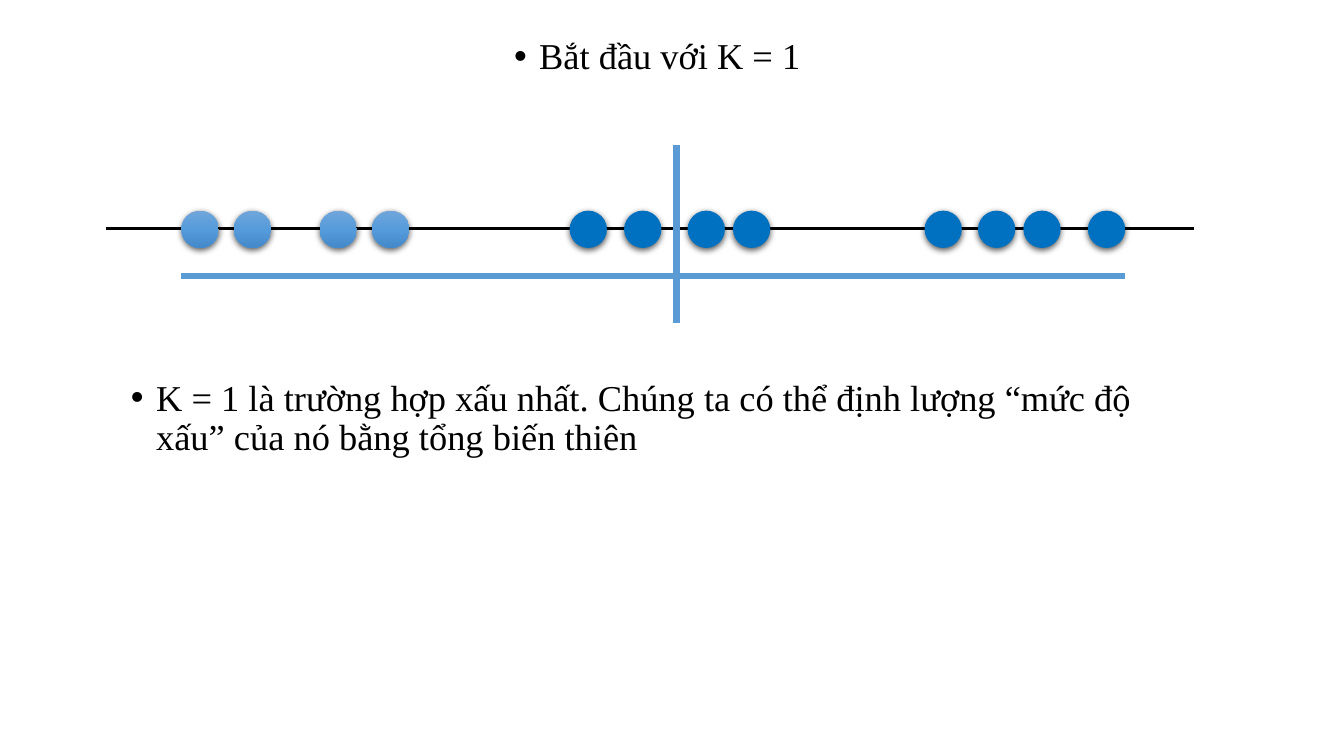
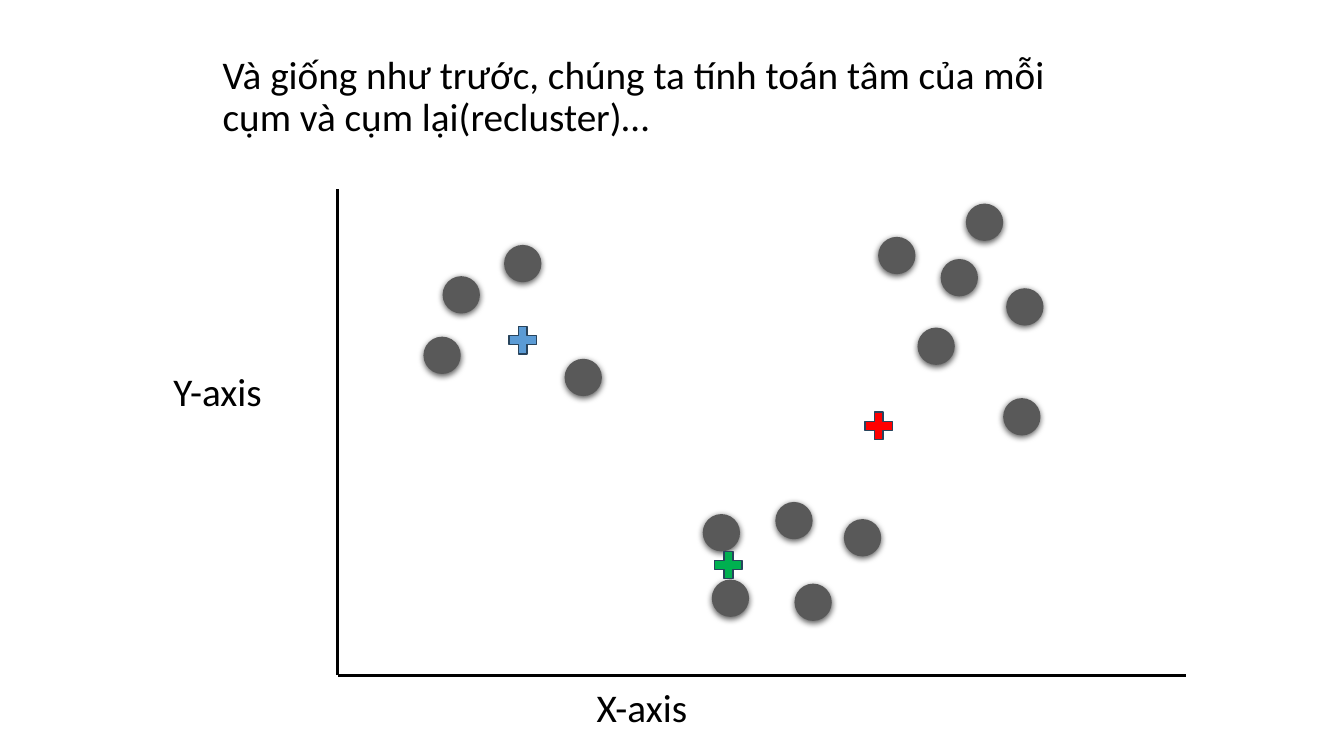
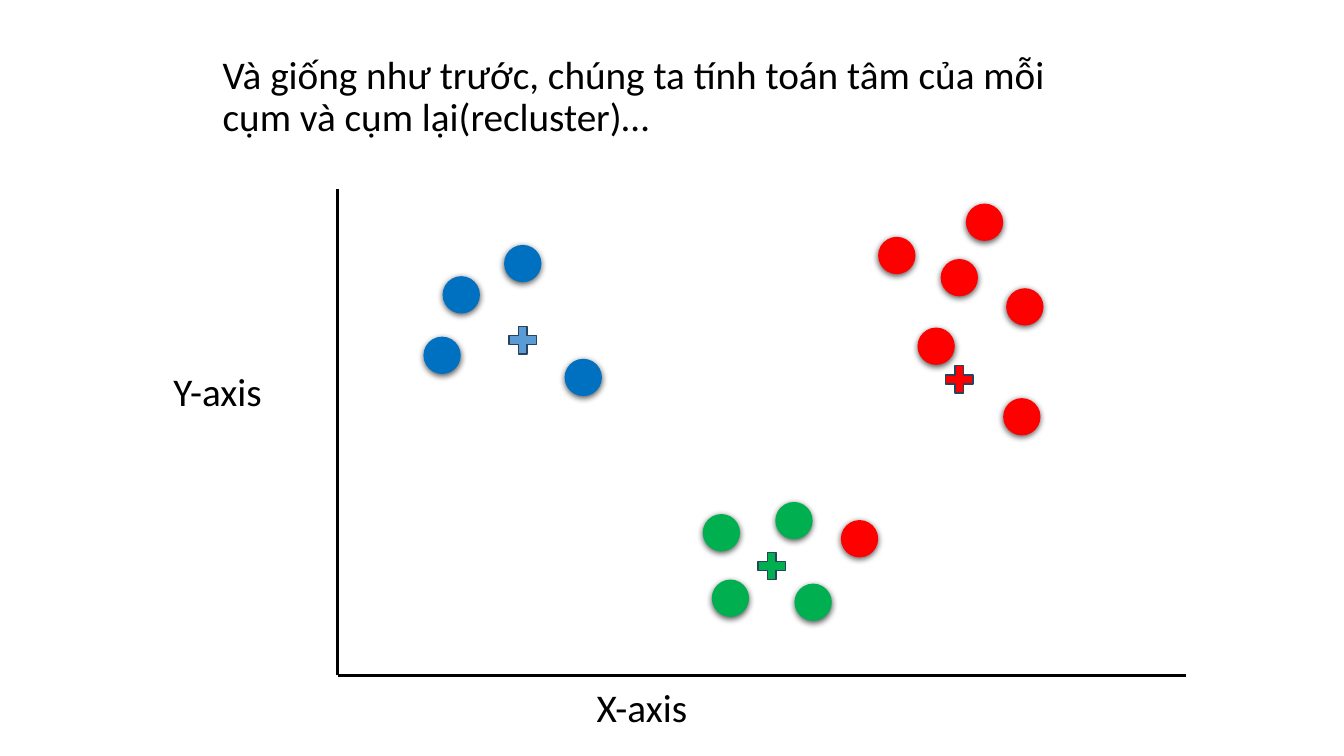
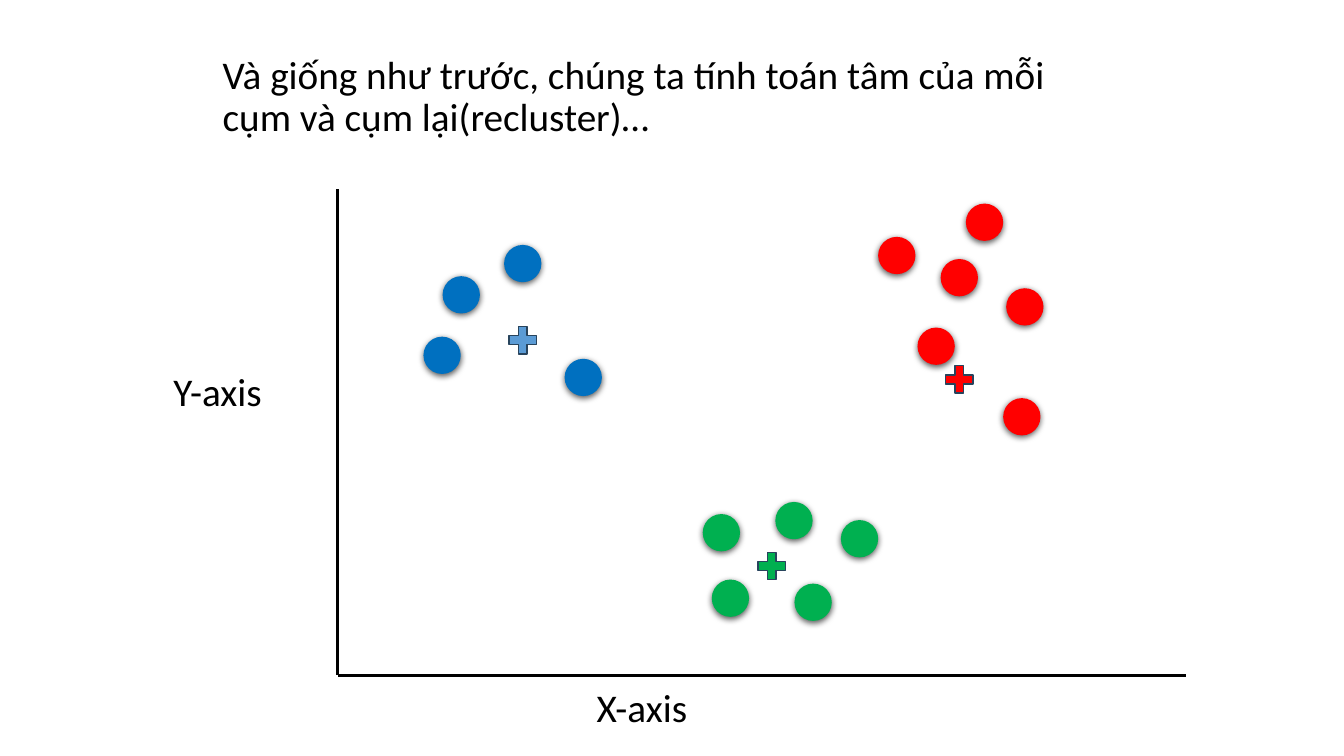
import pptx
import pptx.util
import pptx.oxml
import pptx.oxml.ns
import pptx.dml.color
import pptx.enum.shapes

PX = 9144  # 100 px to the inch
DOT = 37
BLACK, GREY = "000000", "595959"
BLUE, LIGHT_BLUE, RED, GREEN = "0070C0", "5B9BD5", "FF0000", "00B050"
PLUS_EDGE = "28445D"
DOT_GRADIENT = [(0, "71A6DB"), (50, "559BDB"), (100, "448ACA")]
SHAPE = pptx.enum.shapes.MSO_SHAPE


def px(n):
    return pptx.util.Emu(n * PX)


def rgb(color):
    return pptx.dml.color.RGBColor.from_string(color)


def element(tag, attrs="", inner=""):
    return pptx.oxml.parse_xml(
        f'<a:{tag} {pptx.oxml.ns.nsdecls("a")} {attrs}>{inner}</a:{tag}>')


class Deck:
    def __init__(self, width, height):
        self.prs = pptx.Presentation()
        self.prs.slide_width, self.prs.slide_height = px(width), px(height)
        self.s = None

    def slide(self):
        self.s = self.prs.slides.add_slide(self.prs.slide_layouts[6])

    def text(self, x, y, w, h, text, size=28, font="Calibri", bullet=False):
        tf = self.s.shapes.add_textbox(px(x), px(y), px(w), px(h)).text_frame
        tf.word_wrap = True
        p = tf.paragraphs[0]
        p.text = text
        p.line_spacing = 0.9
        if bullet:
            pPr = p._p.get_or_add_pPr()
            pPr.set("marL", str(px(25)))
            pPr.set("indent", str(-px(25)))
            pPr.append(element("buFont", 'typeface="Arial"'))
            pPr.append(element("buChar", 'char="•"'))
        r = p.runs[0]
        r.font.size = pptx.util.Pt(size)
        r.font.name = font
        r.font.color.rgb = rgb(BLACK)

    def line(self, x1, y1, x2, y2, color=BLACK, width=2.25):
        c = self.s.shapes.add_connector(
            pptx.enum.shapes.MSO_CONNECTOR.STRAIGHT, px(x1), px(y1), px(x2), px(y2))
        c.line.color.rgb = rgb(color)
        c.line.width = pptx.util.Pt(width)
        c._element.spPr.append(element("effectLst"))

    def marker(self, kind, x, y):
        sp = self.s.shapes.add_shape(kind, px(x), px(y), px(DOT), px(DOT))
        sp.shadow.inherit = False
        return sp

    def dot(self, x, y, color=None):
        """A round data point with a soft shadow; a gradient if no colour is given."""
        sp = self.marker(SHAPE.FLOWCHART_CONNECTOR, x, y)
        spPr = sp._element.spPr
        if color:
            sp.fill.solid()
            sp.fill.fore_color.rgb = rgb(color)
        else:
            sp.fill.gradient()
            sp.fill.gradient_angle = 270
            stops = spPr.find(".//" + pptx.oxml.ns.qn("a:gsLst"))
            for stop in list(stops):
                stops.remove(stop)
            for pos, stop_color in DOT_GRADIENT:
                stops.append(element("gs", f'pos="{pos * 1000}"',
                                     f'<a:srgbClr val="{stop_color}"/>'))
        sp.line.fill.background()
        spPr.find(pptx.oxml.ns.qn("a:effectLst")).append(element(
            "outerShdw",
            'blurRad="57150" dist="19050" dir="5400000" algn="ctr" rotWithShape="0"',
            f'<a:srgbClr val="{BLACK}"><a:alpha val="63000"/></a:srgbClr>'))

    def plus(self, x, y, color):
        sp = self.marker(SHAPE.MATH_PLUS, x, y)
        sp.fill.solid()
        sp.fill.fore_color.rgb = rgb(color)
        sp.line.color.rgb = rgb(PLUS_EDGE)
        sp.line.width = pptx.util.Pt(1)


# Data points of the scatter plots, by cluster
LEFT = [(420, 334), (439, 274), (560, 356), (500, 243)]
RIGHT = [(871, 235), (933, 257), (958, 202), (998, 286), (995, 395), (910, 325)]
BOTTOM = [(769, 498), (788, 579), (706, 575), (697, 510)]


def number_line(deck):
    deck.slide()
    deck.text(500, 33, 333, 68, "Bắt đầu với K = 1", 26, "Times New Roman", True)
    deck.line(105, 227, 1184, 227)
    for x in (180, 232, 317, 369):
        deck.dot(x, 209)
    for x in (565, 619, 682, 727, 917, 970, 1015, 1079):
        deck.dot(x, 209, BLUE)
    # Centre and spread of the single cluster
    deck.line(671, 144, 671, 320, LIGHT_BLUE, 4.5)
    deck.line(180, 274, 1116, 274, LIGHT_BLUE, 4.5)
    deck.text(120, 372, 1072, 109,
              "K = 1 là trường hợp xấu nhất. Chúng ta có thể định lượng "
              "“mức độ xấu” của nó bằng tổng biến thiên",
              26, "Times New Roman", True)


def scatter(deck, colors, edge_point, edge_color, red_center, green_center):
    deck.slide()
    deck.text(211, 50, 899, 105,
              "Và giống như trước, chúng ta tính toán tâm của mỗi cụm "
              "và cụm lại(recluster)…")
    # Axes
    deck.line(335, 188, 335, 670)
    deck.line(335, 670, 1176, 670)
    deck.text(162, 365, 228, 78, "Y-axis")
    deck.text(582, 678, 228, 78, "X-axis")
    # Points, then cluster centres
    for cluster, color in zip((LEFT, RIGHT, BOTTOM), colors):
        for x, y in cluster:
            deck.dot(x, y, color)
    deck.dot(*edge_point, edge_color)
    deck.plus(500, 319, LIGHT_BLUE)
    deck.plus(*red_center, RED)
    deck.plus(*green_center, GREEN)


def main():
    deck = Deck(1333, 750)
    number_line(deck)
    scatter(deck, (GREY, GREY, GREY), (837, 515), GREY, (853, 404), (704, 542))
    for edge_color in (RED, GREEN):
        scatter(deck, (BLUE, RED, GREEN), (834, 516), edge_color,
                (933, 358), (747, 543))
    deck.prs.save("out.pptx")


if __name__ == "__main__":
    main()
